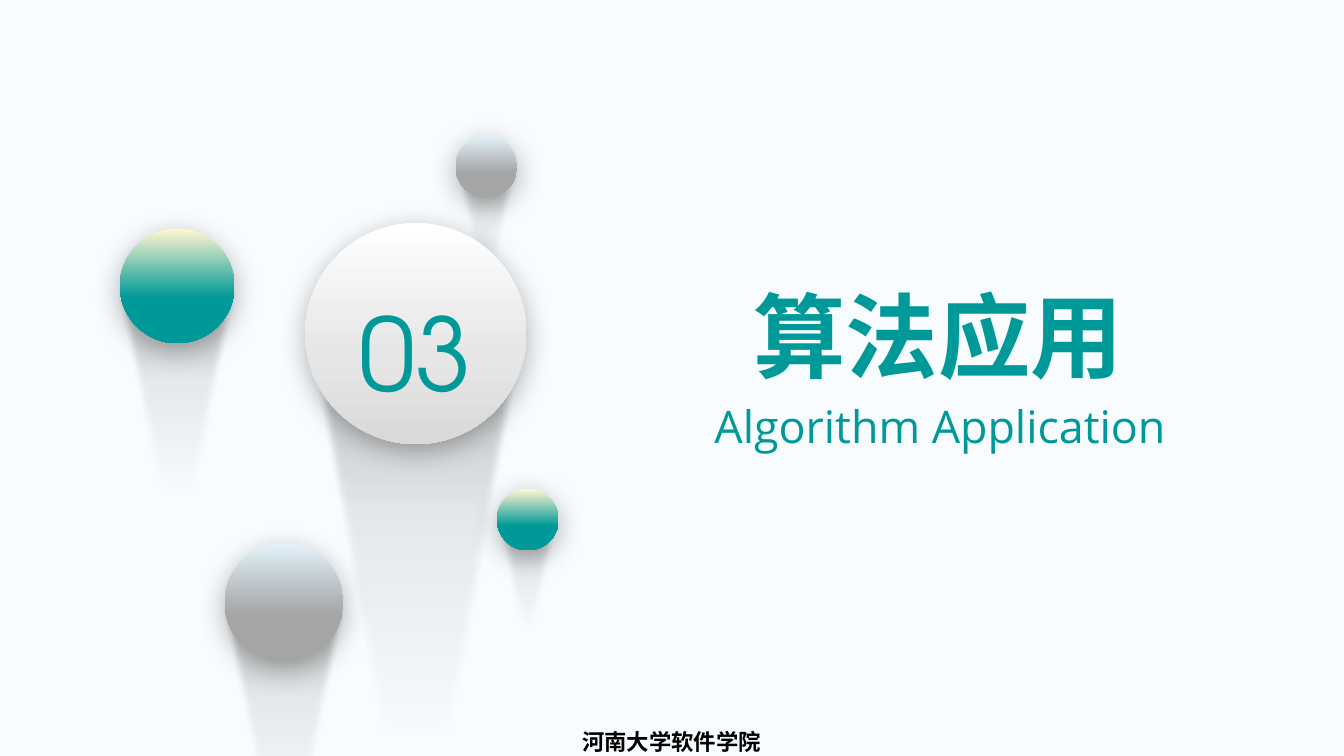
from lxml.etree import SubElement
from pptx import Presentation
from pptx.dml.color import RGBColor
from pptx.enum.shapes import MSO_SHAPE
from pptx.enum.text import MSO_ANCHOR, MSO_AUTO_SIZE, PP_ALIGN
from pptx.oxml.ns import qn
from pptx.util import Pt

TEAL = "009999"
TEAL_STOPS = [(1, "FFF6CF", 100), (60, TEAL, 100), (100, TEAL, 100)]
GRAY_STOPS = [(1, "E1F0F9", 100), (60, "A5A5A5", 100), (100, "A5A5A5", 100)]
WHITE_STOPS = [(0, "FFFFFF", 100), (60, "E7E6E6", 100), (100, "D9D9D9", 100)]
TAIL_STOPS = [(30, "000000", 0), (50, "000000", 4), (70, "000000", 8), (100, "262626", 30)]

BALLS = [
    (325.4, 97.2, 44, 1.11, GRAY_STOPS, None),
    (218, 159.2, 158, 1.01, WHITE_STOPS, "03"),
    (160.5, 388, 84.7, 1.11, GRAY_STOPS, None),
    (355, 349.2, 44, 1.11, TEAL_STOPS, None),
    (85.7, 163.4, 81.8, 1.11, TEAL_STOPS, None),
]


def color(value):
    return RGBColor.from_string(value)


def add_color(parent, value, alpha):
    clr = SubElement(parent, qn("a:srgbClr"), val=value)
    if alpha < 100:
        SubElement(clr, qn("a:alpha"), val=str(alpha * 1000))


def style(shape, stops):
    grad = SubElement(shape.element.spPr, qn("a:gradFill"), rotWithShape="1")
    gs_lst = SubElement(grad, qn("a:gsLst"))
    for pos, value, alpha in stops:
        gs = SubElement(gs_lst, qn("a:gs"), pos=str(pos * 1000))
        add_color(gs, value, alpha)
    SubElement(grad, qn("a:lin"), ang="5400000", scaled="0")
    shape.line.fill.background()
    shape.shadow.inherit = False
    return shape.element.spPr.find(qn("a:effectLst"))


def write(shape, text, size, font, fill=TEAL, bold=False, align=PP_ALIGN.CENTER,
          anchor=MSO_ANCHOR.TOP, wrap=True, grow=False, spacing=None, before=None):
    tf = shape.text_frame
    tf.word_wrap = wrap
    tf.vertical_anchor = anchor
    tf.auto_size = MSO_AUTO_SIZE.SHAPE_TO_FIT_TEXT if grow else MSO_AUTO_SIZE.NONE
    p = tf.paragraphs[0]
    p.alignment = align
    p.line_spacing = spacing
    p.space_before = before
    r = p.add_run()
    r.text = text
    r.font.size = Pt(size)
    r.font.bold = bold
    r.font.color.rgb = color(fill)
    r.font.name = font
    SubElement(r.font._element, qn("a:ea"), typeface=font)


def add_tail(shapes, x, y, w, h):
    builder = shapes.build_freeform(Pt(x + w), Pt(y + h))
    builder.add_line_segments([(Pt(x + w / 2), Pt(y)), (Pt(x), Pt(y + h))], close=True)
    tail = builder.convert_to_shape()
    controls = [[(0.83, 0.67), (0.53, -0.02)], [(0.47, -0.02), (0.17, 0.67)]]
    segments = list(tail.element.spPr.iter(qn("a:lnTo")))
    for segment, handles in zip(segments, controls):
        segment.tag = qn("a:cubicBezTo")
        end = segment[0]
        for u, v in handles:
            SubElement(segment, qn("a:pt"), x=str(Pt(u * w)), y=str(Pt(v * h)))
        segment.append(end)
    tail.rotation = 180
    effects = style(tail, TAIL_STOPS)
    SubElement(effects, qn("a:softEdge"), rad=str(Pt(5)))


def add_ball(s, x, y, d, spread, stops, number):
    shapes = s.shapes.add_group_shape().shapes
    w = d * spread
    add_tail(shapes, x + (d - w) / 2, y + d / 2, w, d * 2.71)
    ball = shapes.add_shape(MSO_SHAPE.OVAL, Pt(x), Pt(y), Pt(d), Pt(d))
    effects = style(ball, stops)
    shadow = SubElement(effects, qn("a:outerShdw"), blurRad=str(Pt(20)),
                        dist=str(Pt(5)), dir="5400000", algn="t", rotWithShape="0")
    add_color(shadow, "000000", 30)
    if number:
        write(ball, number, 72, "TeX Gyre Adventor", anchor=MSO_ANCHOR.MIDDLE, spacing=1.3)


def add_heading(s, x, y, w):
    title = s.shapes.title
    title.left, title.top, title.width, title.height = Pt(x + 38.5), Pt(y + 0.5), Pt(281), Pt(87)
    write(title, "算法应用", 66, "Open Sans", bold=True, align=PP_ALIGN.LEFT,
          anchor=MSO_ANCHOR.BOTTOM, wrap=False, grow=True, spacing=1)
    subtitle = s.shapes.add_textbox(Pt(x), Pt(y + 87), Pt(w), Pt(46))
    write(subtitle, "Algorithm Application", 32, "Open Sans", grow=True)


def add_footer(s, x, y, w, h):
    footer = s.shapes.add_textbox(Pt(x), Pt(y), Pt(w), Pt(h))
    write(footer, "河南大学软件学院", 16, "DejaVu Sans", fill="000000", bold=True,
          before=Pt(3.2))


def main():
    prs = Presentation()
    prs.slide_width, prs.slide_height = Pt(960), Pt(540)
    s = prs.slides.add_slide(prs.slide_layouts[5])
    s.background.fill.solid()
    s.background.fill.fore_color.rgb = color("F8FCFE")
    add_footer(s, 355.3, 516.6, 249, 23.8)
    for ball in BALLS:
        add_ball(s, *ball)
    add_heading(s, 492.5, 194.5, 358.5)
    prs.save("out.pptx")


if __name__ == "__main__":
    main()
